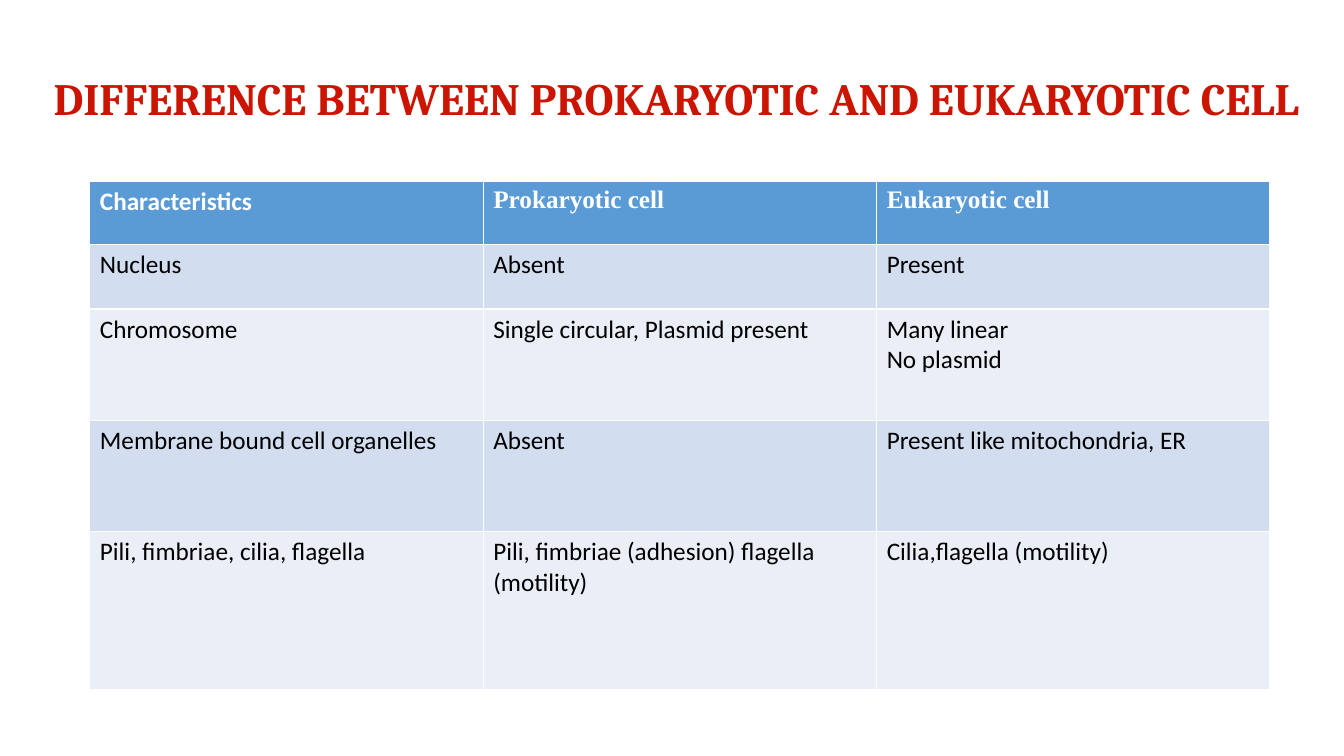
import pptx
import pptx.dml.color
import pptx.enum.text
import pptx.util

Pt = pptx.util.Pt
RGBColor = pptx.dml.color.RGBColor

RED = RGBColor(0xCB, 0x14, 0x01)
WHITE = RGBColor(0xFF, 0xFF, 0xFF)
BLACK = RGBColor(0x00, 0x00, 0x00)
HEADER_BLUE = RGBColor(0x5B, 0x9B, 0xD5)
BANDS = (RGBColor(0xD2, 0xDE, 0xEF), RGBColor(0xEA, 0xEF, 0xF7))

HEADER_FONTS = ("Calibri", "Times New Roman", "Times New Roman")
ROW_HEIGHTS = (45.2, 46, 79.4, 79.4, 113)
ROWS = (
    ("Characteristics", "Prokaryotic cell", "Eukaryotic cell"),
    ("Nucleus", "Absent", "Present"),
    ("Chromosome", "Single circular, Plasmid present", "Many linear\nNo plasmid"),
    ("Membrane bound cell organelles", "Absent", "Present like mitochondria, ER"),
    ("Pili, fimbriae, cilia, flagella",
     "Pili, fimbriae (adhesion) flagella (motility)",
     "Cilia,flagella (motility)"),
)


def format_runs(tf, font, size, color, bold):
    """Apply one font style to every run of a text frame."""
    for p in tf.paragraphs:
        for r in p.runs:
            r.font.name = font
            r.font.size = Pt(size)
            r.font.color.rgb = color
            r.font.bold = bold


def add_title(s, left, top, width, height):
    """Place the heading in the title placeholder."""
    sp = s.shapes.title
    sp.left, sp.top, sp.width, sp.height = map(Pt, (left, top, width, height))
    tf = sp.text_frame
    tf.text = "DIFFERENCE BETWEEN PROKARYOTIC AND EUKARYOTIC CELL"
    tf.word_wrap = False
    tf.auto_size = pptx.enum.text.MSO_AUTO_SIZE.SHAPE_TO_FIT_TEXT
    tf.paragraphs[0].alignment = pptx.enum.text.PP_ALIGN.CENTER
    format_runs(tf, "Cambria", 32, RED, True)


def add_comparison(s, left, top, width):
    """Add the cell comparison table with equal columns."""
    box = map(Pt, (left, top, width, sum(ROW_HEIGHTS)))
    table = s.shapes.add_table(len(ROWS), len(ROWS[0]), *box).table
    for column in table.columns:
        column.width = Pt(width / len(ROWS[0]))
    for i, texts in enumerate(ROWS):
        table.rows[i].height = Pt(ROW_HEIGHTS[i])
        header = i == 0
        for j, text in enumerate(texts):
            cell = table.cell(i, j)
            cell.text_frame.text = text
            cell.fill.solid()
            cell.fill.fore_color.rgb = HEADER_BLUE if header else BANDS[(i - 1) % 2]
            font = HEADER_FONTS[j] if header else "Calibri"
            format_runs(cell.text_frame, font, 18, WHITE if header else BLACK, header)


def main():
    """Build and save the presentation."""
    prs = pptx.Presentation()
    prs.slide_width, prs.slide_height = Pt(960), Pt(540)
    s = prs.slides.add_slide(prs.slide_layouts[5])
    add_title(s, 17, 47, 933, 46)
    add_comparison(s, 64.2, 129.6, 843)
    prs.save("out.pptx")


if __name__ == "__main__":
    main()
